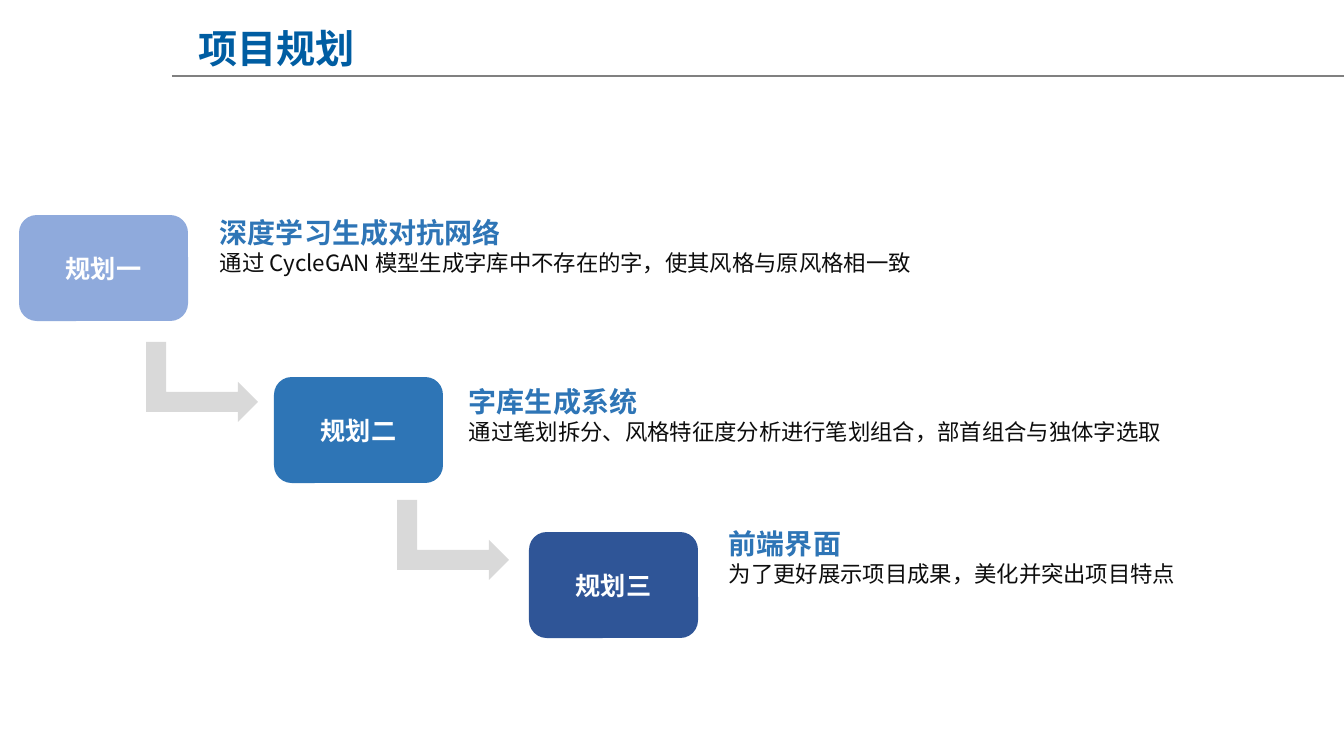
"""Build the project plan slide: three stepped stages joined by bent arrows."""
from lxml.etree import SubElement as Sub
from pptx import Presentation as Deck
from pptx.dml.color import RGBColor as Rgb
from pptx.enum.shapes import MSO_CONNECTOR as Line, MSO_SHAPE as Kind
from pptx.enum.text import MSO_ANCHOR as Anchor, MSO_AUTO_SIZE as Fit, PP_ALIGN as Align
from pptx.oxml.ns import qn
from pptx.util import Pt

SCALE = 914400 / 100.8
THEME = {
    "head": {"size": 28, "name": "Noto Sans CJK SC", "bold": True, "color": "005DA2"},
    "stage": {"size": 18, "name": "Noto Sans CJK SC", "bold": True, "color": "FFFFFF"},
    "topic": {"size": 20, "name": "Noto Sans CJK JP", "bold": True, "color": "2E75B6"},
    "note": {"size": 16, "name": "Noto Sans CJK JP", "bold": False, "color": "0D0D0D"},
    "rule": "808080",
    "arrow": "D9D9D9",
}


def px(*vals):
    return [round(val * SCALE) for val in vals]


def write(para, text, style, align=Align.LEFT):
    para.alignment = align
    run = para.add_run()
    run.text = text
    form = dict(THEME[style])
    run.font.color.rgb = Rgb.from_string(form.pop("color"))
    form["size"] = Pt(form["size"])
    for key, val in form.items():
        setattr(run.font, key, val)
    Sub(run.font._element, qn("a:ea"), typeface=form["name"])


deck = Deck()
deck.slide_width, deck.slide_height = px(1344, 756)
slide = deck.slides.add_slide(deck.slide_layouts[5])
shapes = slide.shapes

rule = shapes.add_connector(Line.STRAIGHT, *px(172, 76, 1344, 76))
rule.line.color.rgb = Rgb.from_string(THEME["rule"])
rule.line.width = Pt(2)
Sub(rule._element.spPr, qn("a:effectLst"))

title = shapes.title
title.left, title.top, title.width, title.height = px(188, 19, 362, 57)
frame = title.text_frame
for key, val in {"word_wrap": True, "auto_size": Fit.NONE, "vertical_anchor": Anchor.MIDDLE}.items():
    setattr(frame, key, val)
write(frame.paragraphs[0], "项目规划", "head")

stages = [
    ("规划一", "8FAADC", 19, 215),
    ("规划二", "2E75B6", 274, 377),
    ("规划三", "2F5597", 529, 532),
]
arrows = [("", THEME["arrow"], 162, 326), ("", THEME["arrow"], 413, 484)]
for name, fill, left, top in stages + arrows:
    kind, size = (Kind.ROUNDED_RECTANGLE, (169, 106)) if name else (Kind.BENT_UP_ARROW, (80, 112))
    shape = shapes.add_shape(kind, *px(left, top, *size))
    shape.shadow.inherit = False
    shape.fill.solid()
    shape.fill.fore_color.rgb = Rgb.from_string(fill)
    shape.line.fill.background()
    if name:
        shape.text_frame.vertical_anchor = Anchor.MIDDLE
        write(shape.text_frame.paragraphs[0], name, "stage", Align.CENTER)
    else:
        shape.rotation = 90

notes = [
    ("深度学习生成对抗网络", "通过 CycleGAN 模型生成字库中不存在的字，使其风格与原风格相一致", 210, 211, 784, 119),
    ("字库生成系统", "通过笔划拆分、风格特征度分析进行笔划组合，部首组合与独体字选取", 459, 380, 747, 95),
    ("前端界面", "为了更好展示项目成果，美化并突出项目特点", 719, 522, 617, 72),
]
for topic, note, *box in notes:
    frame = shapes.add_textbox(*px(*box)).text_frame
    frame.word_wrap = True
    write(frame.paragraphs[0], topic, "topic")
    write(frame.add_paragraph(), note, "note")

deck.save("out.pptx")
